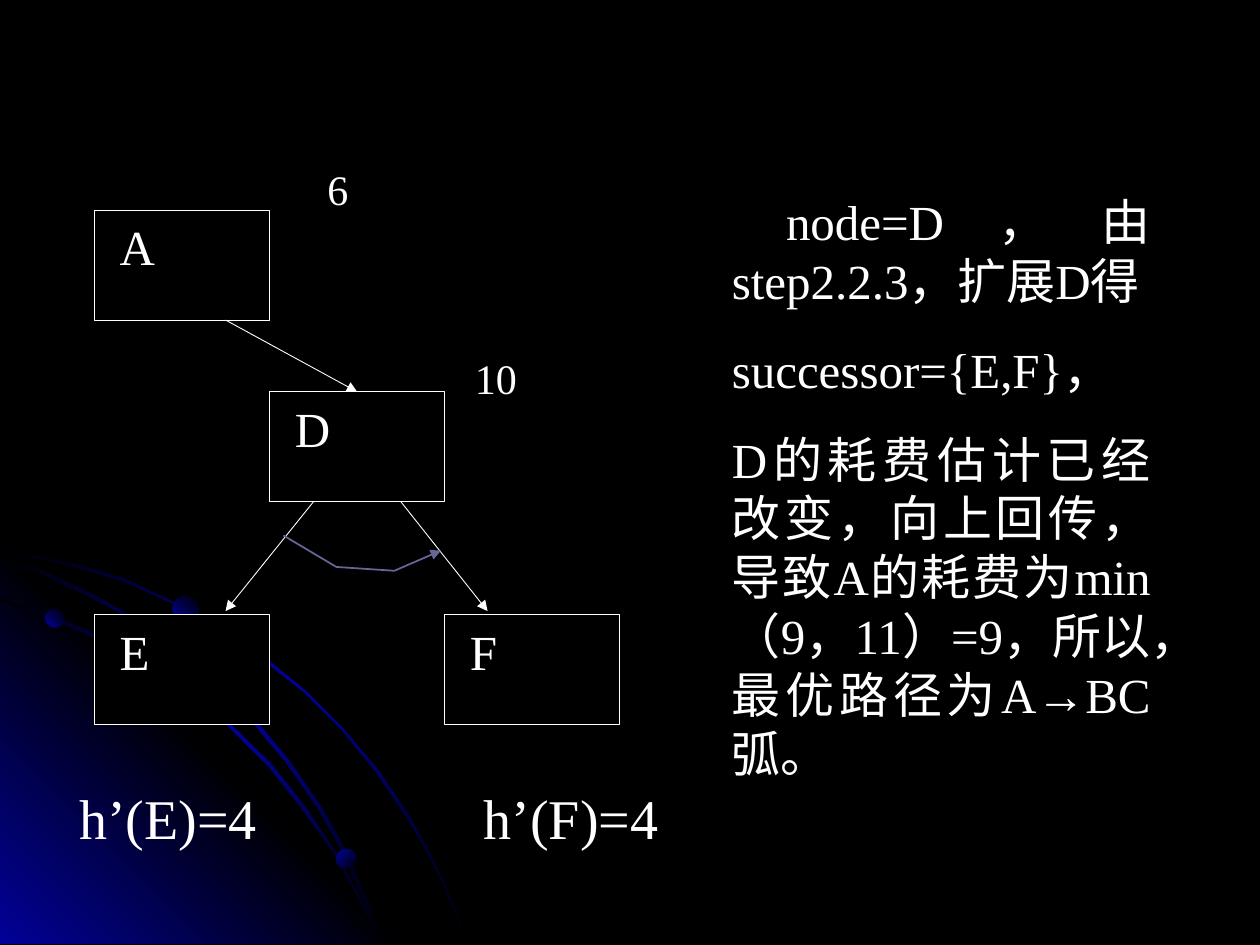
from copy import deepcopy

from lxml.etree import SubElement
from pptx import Presentation
from pptx.dml.color import RGBColor
from pptx.enum.shapes import MSO_CONNECTOR as Link, MSO_SHAPE as Shape
from pptx.enum.text import PP_ALIGN as Align
from pptx.oxml.ns import qn
from pptx.util import Inches, Pt

FONT = "Times New Roman"
WHITE, BLACK, BLUE, SLATE = "FFFFFF", "000000", "010199", "666699"
BOX_W, BOX_H = 1.39, 0.87

# Outlines of the three curved ribbons in the lower left corner
RIBBONS = [
    [(0.57, 4.47), (0.28, 4.41), (0, 4.35), (0, 4.38), (0.28, 4.43),
     (0.56, 4.49), (0.97, 4.61), (1.35, 4.78), (1.73, 4.99), (2.08, 5.23),
     (2.41, 5.49), (2.71, 5.79), (2.98, 6.12), (3.23, 6.49), (3.37, 6.73),
     (3.5, 6.98), (3.6, 7.23), (3.7, 7.49), (3.72, 7.49), (3.62, 7.23),
     (3.52, 6.98), (3.39, 6.73), (3.25, 6.48), (3, 6.11), (2.72, 5.78),
     (2.42, 5.48), (2.09, 5.21), (1.74, 4.97), (1.36, 4.77), (0.98, 4.59)],
    [(2.85, 7.14), (2.94, 7.32), (3.01, 7.49), (3.03, 7.49), (2.96, 7.3),
     (2.86, 7.12), (2.66, 6.76), (2.42, 6.4), (2.15, 6.06), (1.84, 5.76),
     (1.52, 5.49), (1.17, 5.26), (0.79, 5.05), (0.41, 4.88), (0, 4.75),
     (0, 4.77), (0.39, 4.9), (0.77, 5.07), (1.15, 5.28), (1.5, 5.51),
     (1.83, 5.78), (2.13, 6.08), (2.4, 6.42), (2.65, 6.77)],
    [(0, 4.42), (0, 4.44), (0.36, 4.57), (0.74, 4.75), (1.09, 4.94),
     (1.42, 5.18), (1.73, 5.44), (2.02, 5.75), (2.27, 6.05), (2.52, 6.41),
     (2.67, 6.67), (2.8, 6.94), (2.92, 7.22), (3.01, 7.49), (3.03, 7.49),
     (2.94, 7.2), (2.82, 6.93), (2.69, 6.65), (2.54, 6.39), (2.29, 6.03),
     (2.04, 5.73), (1.75, 5.43), (1.44, 5.16), (1.11, 4.93), (0.76, 4.73),
     (0.39, 4.55)],
]
WEDGE = [(3.22, 7.49), (0, 7.49), (0, 4.27)]
ARC = [(2.25, 4.25), (2.67, 4.5), (3.13, 4.53), (3.5, 4.37)]


def color(code):
    return RGBColor.from_string(code)


def write(shape, *lines, size=28, align=Align.LEFT, gap=0, indent=0, left=0.1):
    """Put one paragraph per line; indent applies to the first one only."""
    frame = shape.text_frame
    frame.word_wrap = True
    frame.margin_left = Inches(left)
    for i, line in enumerate(lines):
        para = frame.add_paragraph() if i else frame.paragraphs[0]
        para.text = line
        para.alignment = align
        if i:
            para.space_before = Pt(gap)
        elif indent:
            para._p.get_or_add_pPr().set("indent", str(Inches(indent)))
        font = para.font
        font.name, font.size = FONT, Pt(size)
        font.color.rgb = color(WHITE)


def label(slide, x, y, w, h, *lines, **style):
    box = slide.shapes.add_textbox(Inches(x), Inches(y), Inches(w), Inches(h))
    write(box, *lines, **style)


def outline(slide, points, close=True):
    start, *rest = [(Inches(x), Inches(y)) for x, y in points]
    pen = slide.shapes.build_freeform(*start)
    pen.add_line_segments(rest, close=close)
    shape = pen.convert_to_shape()
    shape.shadow.inherit = False
    return shape


def shade(shape, angle, *codes):
    """Fill with evenly spaced gradient stops; angle runs clockwise."""
    fill = shape.fill
    fill.gradient()
    fill.gradient_angle = 360 - angle
    stops = shape._element.spPr.find(".//" + qn("a:gsLst"))
    for _ in codes[2:]:
        stops.append(deepcopy(stops[-1]))
    for i, (stop, code) in enumerate(zip(fill.gradient_stops, codes)):
        stop.position = i / (len(codes) - 1)
        stop.color.rgb = color(code)
    shape.line.fill.background()


def ball(slide, x, y, size, angle):
    shape = slide.shapes.add_shape(
        Shape.OVAL, Inches(x), Inches(y), Inches(size), Inches(size))
    shape.shadow.inherit = False
    shade(shape, angle, BLACK, BLUE)


def scene(slide):
    """Draw the blue corner glow with its ribbons and balls."""
    fill = slide.background.fill
    fill.solid()
    fill.fore_color.rgb = color(BLACK)
    upper, *lower = RIBBONS
    shade(outline(slide, upper), 225, BLACK, BLUE, BLACK)
    shade(outline(slide, WEDGE), 135, BLUE, BLACK, BLUE)
    for ribbon in lower:
        shade(outline(slide, ribbon), 225, BLACK, BLUE, BLACK)
    ball(slide, 0.36, 4.83, 0.15, 135)
    ball(slide, 2.67, 6.74, 0.16, 225)
    ball(slide, 1.37, 4.73, 0.21, 135)


def node(slide, name, x, y):
    box = slide.shapes.add_shape(
        Shape.RECTANGLE, Inches(x), Inches(y), Inches(BOX_W), Inches(BOX_H))
    box.shadow.inherit = False
    box.fill.solid()
    box.fill.fore_color.rgb = color(BLACK)
    box.line.color.rgb = color(WHITE)
    box.line.width = Pt(0.5)
    box.text_frame.vertical_anchor = 1
    write(box, name, left=0.2)
    return box


def stroke(shape, code, width):
    """Style a line and give its end an arrowhead."""
    shape.line.color.rgb = color(code)
    shape.line.width = Pt(width)
    SubElement(shape.line._get_or_add_ln(), qn("a:tailEnd"), type="triangle")


def arrow(slide, x1, y1, x2, y2):
    link = slide.shapes.add_connector(
        Link.STRAIGHT, Inches(x1), Inches(y1), Inches(x2), Inches(y2))
    stroke(link, WHITE, 0.5)
    SubElement(link._element.spPr, qn("a:effectLst"))
    return link


def graph(slide):
    left, top = 0.75, 1.67
    mid, right = left + BOX_W, left + 2 * BOX_W
    node(slide, "A", left, top)
    child = node(slide, "D", mid, 3.11)
    node(slide, "E", left, 4.88)
    node(slide, "F", right, 4.88)
    arrow(slide, 1.79, 2.54, 2.83, 3.11).end_connect(child, 0)
    arrow(slide, 3.18, 3.98, 3.87, 4.85)
    arrow(slide, 2.49, 3.98, 1.79, 4.85)
    arc = outline(slide, ARC, close=False)
    arc.fill.background()
    stroke(arc, SLATE, 1)


def main():
    deck = Presentation()
    deck.slide_width, deck.slide_height = Inches(10), Inches(7.5)
    slide = deck.slides.add_slide(deck.slide_layouts[6])
    scene(slide)
    graph(slide)
    label(slide, 0.53, 6.17, 1.8, 0.64, "h’(E)=4", size=32)
    label(slide, 3.74, 6.17, 1.8, 0.64, "h’(F)=4", size=32)
    label(slide, 3.67, 2.75, 1.42, 0.5, "10", size=24)
    label(slide, 2.5, 1.25, 1, 0.5, "6", size=24)
    label(slide, 5.71, 1.47, 3.52, 4.79,
          "node=D，由step2.2.3，扩展D得",
          "successor={E,F}，",
          "D的耗费估计已经改变，向上回传，导致A的耗费为"
          "min（9，11）=9，所以，最优路径为A→BC弧。",
          align=Align.JUSTIFY, gap=17.5, indent=0.43)
    deck.save("out.pptx")


if __name__ == "__main__":
    main()
